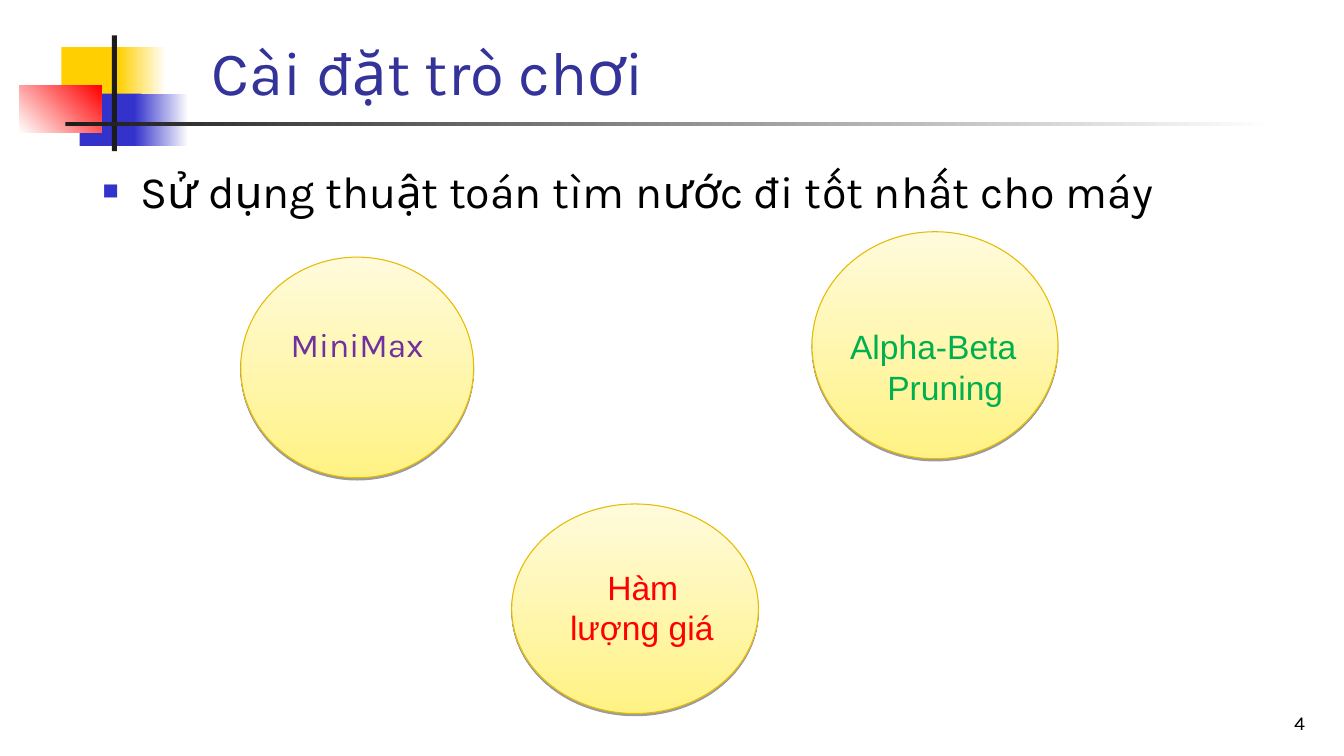
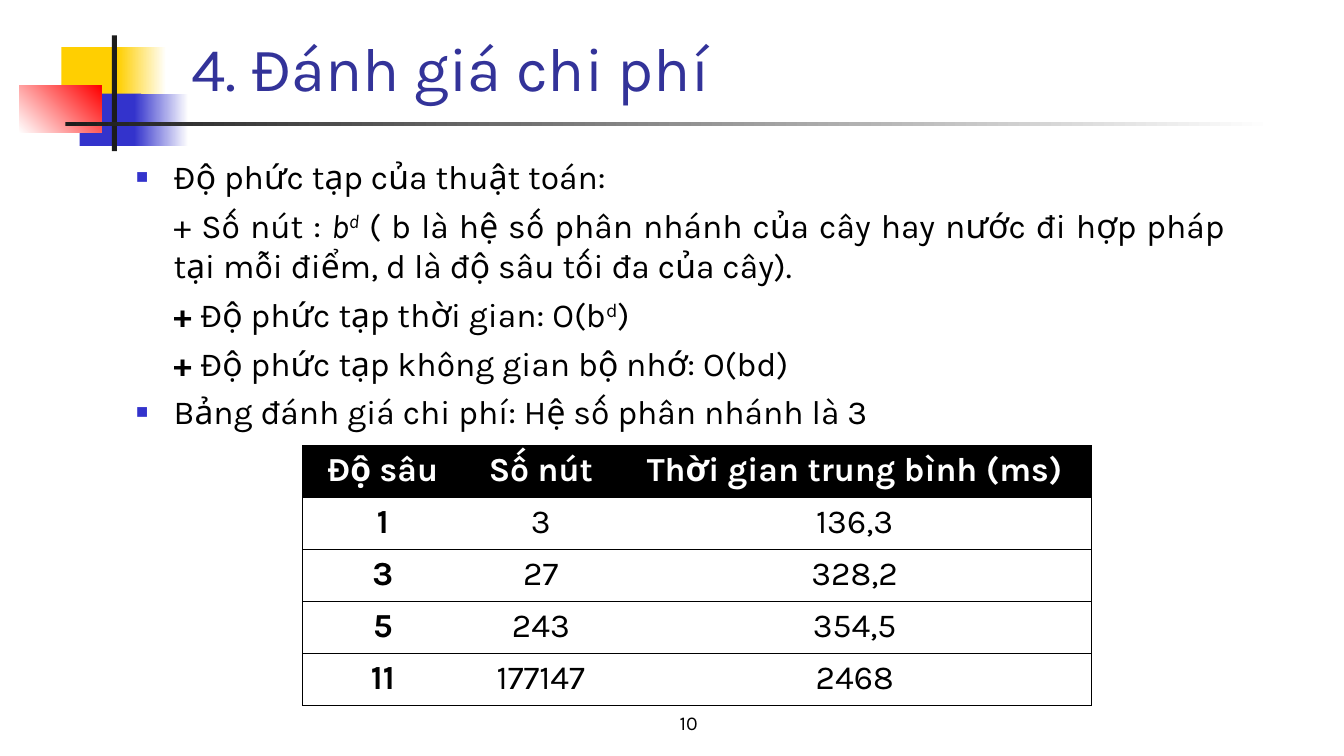
from pptx import Presentation
from pptx.dml.color import RGBColor
from pptx.enum.shapes import MSO_SHAPE as SHAPE
from pptx.enum.text import MSO_ANCHOR as ANCHOR, MSO_AUTO_SIZE as AUTO, PP_ALIGN as ALIGN
from pptx.oxml import parse_xml
from pptx.oxml.ns import nsdecls, qn
from pptx.util import Cm, Pt

WHITE = RGBColor(0xFF, 0xFF, 0xFF)
BLACK = RGBColor(0, 0, 0)
INK = RGBColor(0x1C, 0x1C, 0x1C)
YELLOW = RGBColor(0xFF, 0xCF, 0x01)
BLUE = RGBColor(0x33, 0x33, 0xCC)
RED = RGBColor(0xFF, 0, 0)
TITLE = RGBColor(0x33, 0x33, 0x99)
GOLD = RGBColor(0xE7, 0xBA, 0)
LEMON = RGBColor(0xFF, 0xF2, 0x84)
CREAM = RGBColor(0xFF, 0xFB, 0xDC)
PURPLE = RGBColor(0x70, 0x30, 0xA0)
GREEN = RGBColor(0, 0xB0, 0x50)

KARLA = "Karla"
ARIAL = "Arial"
HANG = Cm(0.95)
WORD_INDENT = Cm(0.94)
NO_TABLE_STYLE = "{2D5ABB26-0587-4C30-8999-92F81FD0307C}"


# Shared helpers
def add_run(p, text, size, color, font=KARLA, bold=False, italic=False, sup=False):
    r = p.add_run()
    r.text = text
    f = r.font
    f.name, f.size, f.bold, f.italic = font, Pt(size), bold, italic
    f.color.rgb = color
    if sup:
        r._r.get_or_add_rPr().set("baseline", "30000")


def set_indent(p, left=0, first=0):
    pPr = p._p.get_or_add_pPr()
    pPr.set("marL", str(left))
    pPr.set("indent", str(first))
    return pPr


def add_bullet(p):
    pPr = set_indent(p, HANG, -HANG)
    ns = nsdecls("a")
    for xml in (f'<a:buClr {ns}><a:srgbClr val="{BLUE}"/></a:buClr>',
                f'<a:buSzPct {ns} val="60000"/>',
                f'<a:buFont {ns} typeface="{ARIAL}"/>',
                f'<a:buChar {ns} char="■"/>'):
        pPr.append(parse_xml(xml))


def paint(sp, colors, angle=0):
    """One colour gives a solid fill, two give a gradient."""
    if len(colors) == 1:
        sp.fill.solid()
        sp.fill.fore_color.rgb = colors[0]
        return
    sp.fill.gradient()
    sp.fill.gradient_angle = angle
    for stop, color in zip(sp.fill.gradient_stops, colors):
        stop.color.rgb = color


def add_box(slide, left, top, width, height):
    tf = slide.shapes.add_textbox(Cm(left), Cm(top), Cm(width), Cm(height)).text_frame
    tf.word_wrap = True
    return tf


# Corner emblem and rule, kept on the layout
def decorate_layout(layout, slide, left, top):
    parts = [
        (1.07, 0.3, 1.63, 1.32, (YELLOW,), 0),
        (2.49, 0.3, 1.22, 1.32, (YELLOW, WHITE), 0),
        (1.53, 1.47, 1.55, 1.32, (BLUE,), 0),
        (2.9, 1.47, 1.37, 1.32, (BLUE, WHITE), 0),
        (0, 1.27, 2.08, 1.17, (WHITE, RED), 45),
        (2.34, 0, 0.13, 2.92, (INK,), 0),
        (1.17, 2.18, 30.45, 0.1, (INK, WHITE), 0),
    ]
    for i, (x, y, w, h, colors, angle) in enumerate(parts):
        sp = slide.shapes.add_shape(SHAPE.RECTANGLE, Cm(left + x), Cm(top + y), Cm(w), Cm(h))
        sp.shadow.inherit = False
        sp.line.fill.background()
        paint(sp, colors, angle)
        sp.element.nvSpPr.cNvPr.set("id", str(100 + i))
        layout.shapes.element.append(sp.element)


def set_title(slide, text, left, top, width, height):
    sp = slide.shapes.title
    sp.left, sp.top, sp.width, sp.height = Cm(left), Cm(top), Cm(width), Cm(height)
    tf = sp.text_frame
    tf.auto_size = AUTO.NONE
    tf.vertical_anchor = ANCHOR.BOTTOM
    p = tf.paragraphs[0]
    p.alignment = ALIGN.LEFT
    add_run(p, text, 44, TITLE)


def add_number(slide, text, left, width, align):
    tf = add_box(slide, left, 17.35, width, 1.27)
    tf.vertical_anchor = ANCHOR.BOTTOM
    p = tf.paragraphs[0]
    p.alignment = align
    add_run(p, text, 14, BLACK)


# Body text: each paragraph is (has bullet, [(text, run styles)])
def add_body(slide, paragraphs, size, align, left, top, width, height):
    tf = add_box(slide, left, top, width, height)
    for i, (bulleted, runs) in enumerate(paragraphs):
        p = tf.add_paragraph() if i else tf.paragraphs[0]
        if bulleted:
            add_bullet(p)
        else:
            set_indent(p, HANG)
        p.alignment = align
        if i:
            p.space_before = Pt(6)
        for text, style in runs:
            add_run(p, text, size, BLACK, **style)


# Yellow circles and their labels
def add_circle(slide, left, top, width, height):
    sp = slide.shapes.add_shape(SHAPE.OVAL, Cm(left), Cm(top), Cm(width), Cm(height))
    paint(sp, (LEMON, CREAM), 90)
    sp.line.color.rgb = GOLD
    sp.line.width = Pt(0.75)
    sp.shadow.inherit = False
    sp.element.spPr.find(qn("a:effectLst")).append(parse_xml(
        f'<a:outerShdw {nsdecls("a")} blurRad="0" dist="{Pt(1.6)}" dir="5400000" rotWithShape="0">'
        '<a:srgbClr val="000000"><a:alpha val="38000"/></a:srgbClr></a:outerShdw>'))
    return sp


def add_minimax(slide, left, top):
    tf = add_circle(slide, left, top, 5.87, 5.56).text_frame
    tf.vertical_anchor = ANCHOR.TOP
    tf.margin_top = Cm(0.88)
    p = tf.paragraphs[0]
    p.alignment = ALIGN.CENTER
    add_run(p, "MiniMax", 24, PURPLE)


def add_pruning(slide, left, top):
    add_circle(slide, left, top, 6.2, 5.72)
    tf = add_box(slide, left + 0.71, top + 2.26, 4.98, 2.29)
    add_run(tf.paragraphs[0], "Alpha-Beta", 24, GREEN, ARIAL)
    p = tf.add_paragraph()
    set_indent(p, WORD_INDENT)
    add_run(p, "Pruning", 24, GREEN, ARIAL)


def add_evaluation(slide, left, top):
    add_circle(slide, left, top, 6.22, 5.28)
    p = add_box(slide, left + 1.22, top + 1.45, 4.27, 2.29).paragraphs[0]
    set_indent(p, first=WORD_INDENT)
    add_run(p, "Hàm lượng giá", 24, RED, ARIAL)


# Cost table
def set_borders(cell, sides):
    tcPr = cell._tc.get_or_add_tcPr()
    for side in "LRTB":
        fill = f'<a:solidFill><a:srgbClr val="{BLACK}"/></a:solidFill>' if side in sides else "<a:noFill/>"
        tcPr.append(parse_xml(f'<a:ln{side} {nsdecls("a")} w="{Pt(0.34)}">{fill}</a:ln{side}>'))


def add_cost_table(slide, rows, left, top, widths, row_height):
    last = len(widths) - 1
    table = slide.shapes.add_table(len(rows), len(widths), Cm(left), Cm(top),
                                   Cm(sum(widths)), Cm(row_height * len(rows))).table
    table.horz_banding = False
    table._tbl.tblPr.find(qn("a:tableStyleId")).text = NO_TABLE_STYLE
    for column, width in zip(table.columns, widths):
        column.width = Cm(width)
    for i, row in enumerate(rows):
        table.rows[i].height = Cm(row_height)
        for j, text in enumerate(row):
            cell = table.cell(i, j)
            set_borders(cell, "TB" + ("L" if j == 0 else "") + ("R" if j == last else ""))
            if i == 0:
                cell.fill.solid()
                cell.fill.fore_color.rgb = BLACK
            else:
                cell.fill.background()
            p = cell.text_frame.paragraphs[0]
            p.alignment = ALIGN.CENTER
            add_run(p, text, 24, BLACK if i else WHITE, bold=i == 0 or j == 0)


# Slides
def build_game_slide(slide):
    set_title(slide, "Cài đặt trò chơi", 5.08, 0.94, 12.07, 1.9)
    add_body(slide, [(True, [("Sử dụng thuật toán tìm nước đi tốt nhất cho máy", {})])],
             32, ALIGN.LEFT, 2.34, 3.99, 27.74, 13.49)
    add_pruning(slide, 20.47, 5.84)
    add_evaluation(slide, 12.9, 12.7)
    add_minimax(slide, 6.07, 6.48)
    add_number(slide, "4", 26.09, 7.06, ALIGN.RIGHT)


def build_cost_slide(slide):
    set_title(slide, "4. Đánh giá chi phí", 4.57, 0.58, 28.55, 2.16)
    bold, sup = {"bold": True}, {"sup": True}
    add_body(slide, [
        (True, [("Độ phức tạp của thuật toán:", {})]),
        (False, [("+ Số nút : ", {}), ("b", {"italic": True}), ("d", {"italic": True, "sup": True}),
                 (" ( b là hệ số phân nhánh của cây hay nước đi hợp pháp tại mỗi điểm, "
                  "d là độ sâu tối đa của cây).", {})]),
        (False, [("+ ", bold), ("Độ phức tạp thời gian: O(b", {}), ("d", sup), (")", {})]),
        (False, [("+ ", bold), ("Độ phức tạp không gian bộ nhớ: O(bd)", {})]),
        (True, [("Bảng đánh giá chi phí: Hệ số phân nhánh là 3", {})]),
    ], 24, ALIGN.JUSTIFY, 3.18, 3.81, 27.94, 14.81)
    add_cost_table(slide, [
        ("Độ sâu", "Số nút", "Thời gian trung bình (ms)"),
        ("1", "3", "136,3"),
        ("3", "27", "328,2"),
        ("5", "243", "354,5"),
        ("11", "177147", "2468"),
    ], 7.62, 11.23, (4.06, 3.91, 11.91), 1.31)
    add_number(slide, "10", 13.34, 8.05, ALIGN.CENTER)


def main():
    prs = Presentation()
    prs.slide_width, prs.slide_height = Cm(33.88), Cm(19.05)
    layout = prs.slide_layouts[5]
    game = prs.slides.add_slide(layout)
    decorate_layout(layout, game, 0.48, 0.89)
    build_game_slide(game)
    build_cost_slide(prs.slides.add_slide(layout))
    prs.save("out.pptx")


if __name__ == "__main__":
    main()
